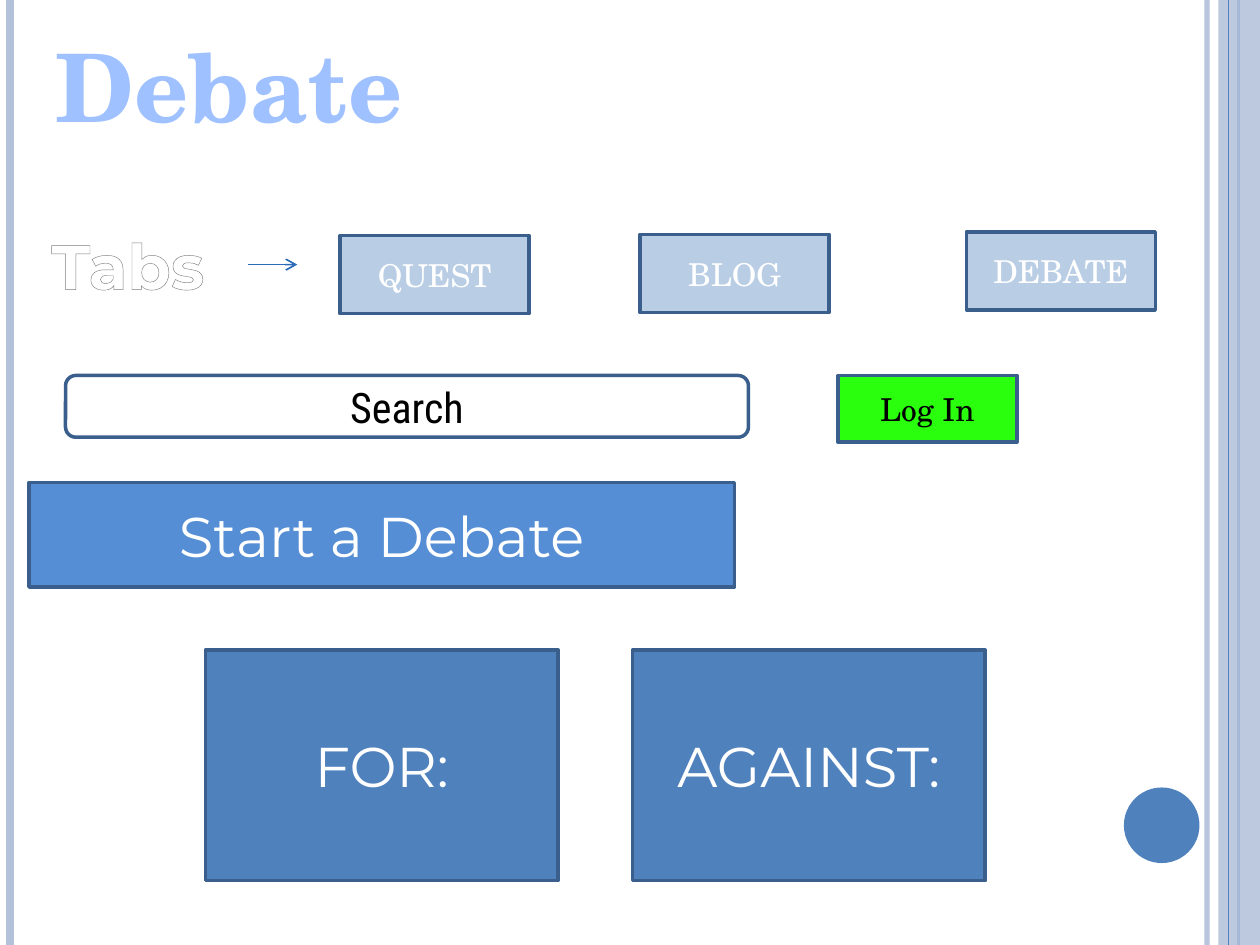
from lxml import etree
from pptx import Presentation
from pptx.dml.color import RGBColor
from pptx.enum.shapes import MSO_CONNECTOR, MSO_SHAPE
from pptx.enum.text import MSO_ANCHOR, MSO_AUTO_SIZE, PP_ALIGN
from pptx.oxml.ns import qn
from pptx.util import Inches, Pt

STRAIGHT = MSO_CONNECTOR.STRAIGHT
RECT, ROUNDED, OVAL = MSO_SHAPE.RECTANGLE, MSO_SHAPE.ROUNDED_RECTANGLE, MSO_SHAPE.OVAL
TOP, MIDDLE = MSO_ANCHOR.TOP, MSO_ANCHOR.MIDDLE
NO_AUTOFIT, CENTER = MSO_AUTO_SIZE.NONE, PP_ALIGN.CENTER
SERIF, SANS, CONDENSED = "TeX Gyre Schola", "Montserrat", "Roboto Condensed"
BLUE, PALE, BORDER, WHITE, BLACK = "4F81BD", "B3C1DB", "3A5F8C", "FFFFFF", "000000"


def paint(color_format, color):
    """Set a colour from a hex string."""
    color_format.rgb = RGBColor.from_string(color)


def set_opacity(element, percent):
    """Make the first RGB colour below an element partly transparent."""
    color = next(element.iter(qn("a:srgbClr")))
    etree.SubElement(color, qn("a:alpha")).set("val", str(percent * 1000))


def write(box, text, font, size, color, anchor=MIDDLE):
    """Write one centred paragraph into a shape and return it."""
    frame = box.text_frame
    frame.vertical_anchor = anchor
    para = frame.paragraphs[0]
    para.text = text
    para.alignment = CENTER
    para.font.name, para.font.size = font, Pt(size)
    paint(para.font.color, color)
    return para


def write_heading(box, text, font, size, color, outline):
    """Write bold, outlined, unwrapped lettering."""
    box.text_frame.word_wrap = False
    box.text_frame.auto_size = NO_AUTOFIT
    para = write(box, text, font, size, color, TOP)
    para.font.bold = True
    span = para.runs[0]
    paint(span.font.color, color)
    line = etree.Element(qn("a:ln"), w=str(Pt(0.83)))
    fill = etree.SubElement(line, qn("a:solidFill"))
    etree.SubElement(fill, qn("a:srgbClr"), val=outline)
    span.font._element.insert(0, line)


def add_block(page, kind, area, fill, border=None):
    """Add a flat preset shape with an optional border."""
    block = page.shapes.add_shape(kind, *map(Inches, area))
    block.shadow.inherit = False
    block.fill.solid()
    paint(block.fill.fore_color, fill)
    if border:
        paint(block.line.color, border)
        block.line.width = Pt(2)
    else:
        block.line.fill.background()
    return block


def add_line(page, start, end, color, width):
    """Add a straight line without a shadow."""
    line = page.shapes.add_connector(STRAIGHT, *map(Inches, start + end))
    paint(line.line.color, color)
    line.line.width = Pt(width)
    etree.SubElement(line._element.spPr, qn("a:effectLst"))
    return line


def add_button(page, area, text, fill, font, size, color=WHITE, kind=RECT):
    """Add a bordered, labelled button."""
    write(add_block(page, kind, area, fill, BORDER), text, font, size, color)


def add_frame(page, height):
    """Draw the vertical rules, side band and disc."""
    def rule(x, color, width):
        return add_line(page, (x, 0), (x, height), color, width)

    set_opacity(rule(9.58, PALE, 3)._element, 93)
    rule(0.08, PALE, 4.5)
    rule(9.83, BLUE, 1.5)
    band = add_block(page, RECT, (9.67, 0, 0.33, height), PALE)
    set_opacity(band._element, 87)
    rule(9.75, BLUE, 0.75)
    add_block(page, OVAL, (8.92, 6.25, 0.6, 0.6), BLUE)


def add_title(page, area):
    """Move and format the title placeholder."""
    title = page.shapes.title
    title.left, title.top, title.width, title.height = map(Inches, area)
    write_heading(title, "Debate", SERIF, 54, "A0C1FF", "467AB8")


def add_tabs(page, area):
    """Place the tab label, its arrow and the three tabs."""
    left, top, width, height = area
    label = page.shapes.add_textbox(*map(Inches, (left, top, 1.53, height)))
    write_heading(label, "Tabs", SANS, 36, WHITE, "7D7D7D")
    arrow = add_line(page, (left + 1.72, top + 0.35), (left + 2.11, top + 0.35), "2C6CB9", 1)
    etree.SubElement(arrow.line._get_or_add_ln(), qn("a:tailEnd"), type="arrow")
    right = left + width - 1.5
    tabs = [("QUEST", 2.7, 0.12), ("BLOG", 5.08, 0.11), ("DEBATE", right, 0.09)]
    for text, x, drop in tabs:
        add_button(page, (x, top + drop, 1.5, 0.62), text, "B9CDE5", SERIF, 18)


def add_search_row(page, area):
    """Place the search field and the log-in button."""
    left, top, width, height = area
    add_button(page, (left, top, 5.42, 0.49), "Search", WHITE, CONDENSED, 24, BLACK, ROUNDED)
    add_button(page, (left + width - 1.42, top, 1.42, height), "Log In", "2AFF0D", SERIF, 18, BLACK)


def add_sides(page, area):
    """Place the two sides of the debate at the ends of a row."""
    left, top, width, height = area
    side = 2.8
    for text, x in (("FOR:", left), ("AGAINST:", left + width - side)):
        add_button(page, (x, top, side, height), text, BLUE, SANS, 32)


def main():
    """Build and save the slide."""
    deck = Presentation()
    deck.slide_width, deck.slide_height = Inches(10), Inches(7.5)
    page = deck.slides.add_slide(deck.slide_layouts[5])
    add_frame(page, 7.5)
    add_title(page, (0.33, 0.17, 2.98, 1.92))
    add_tabs(page, (0.25, 1.75, 8.92, 0.71))
    add_search_row(page, (0.52, 2.98, 7.55, 0.53))
    add_button(page, (0.23, 3.83, 5.6, 0.83), "Start a Debate", "558ED5", SANS, 32)
    add_sides(page, (1.63, 5.16, 6.19, 1.83))
    deck.save("out.pptx")


if __name__ == "__main__":
    main()
